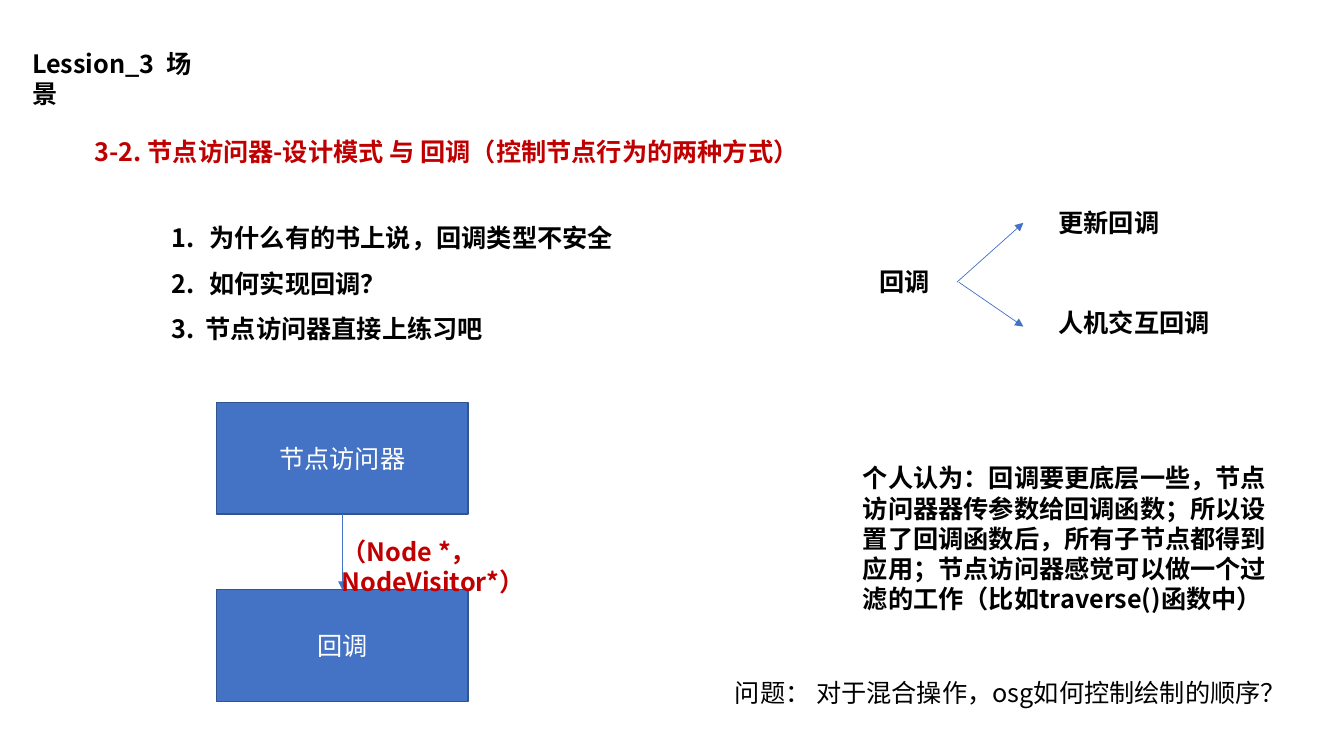
import dataclasses
import typing

import pptx
import pptx.dml.color
import pptx.enum.shapes
import pptx.enum.text
import pptx.oxml.ns
import pptx.slide
import pptx.util
from lxml import etree

Inches = pptx.util.Inches
FONT = "Noto Sans CJK SC"
COLORS = {
    "black": "000000",
    "red": "C00000",
    "white": "FFFFFF",
    "blue": "4472C4",
    "outline": "325491",
}
FRAME_FORMAT = {
    "word_wrap": True,
    "auto_size": pptx.enum.text.MSO_AUTO_SIZE.SHAPE_TO_FIT_TEXT,
}
BOX_LEFT, BOX_WIDTH, BOX_HEIGHT = 2.15, 2.49, 1.11
VISITOR_TOP, CALLBACK_TOP = 3.99, 5.85
BOX_CENTER = BOX_LEFT + BOX_WIDTH / 2


@dataclasses.dataclass
class Label:
    """A text box with one or more paragraphs."""
    left: float
    top: float
    width: float
    height: float
    lines: typing.Sequence[str]
    color: str = "black"
    bold: bool = True
    spacing: float = 1.0
    numbered: int = 0


@dataclasses.dataclass
class Box:
    """A filled rectangle of the call diagram."""
    top: float
    text: str


@dataclasses.dataclass
class Arrow:
    """A straight arrow between two points."""
    start: tuple[float, float]
    end: tuple[float, float]


LABELS = [
    Label(0.22, 0.43, 1.93, 0.4, ["Lession_3  场景"]),
    Label(0.84, 1.3, 7.32, 0.4,
          ["3-2. 节点访问器-设计模式 与 回调（控制节点行为的两种方式）"], "red"),
    Label(1.6, 2.01, 4.88, 1.42,
          ["为什么有的书上说，回调类型不安全", "如何实现回调？",
           "3.  节点访问器直接上练习吧"], spacing=1.5, numbered=2),
    Label(8.62, 2.59, 0.71, 0.4, ["回调"]),
    Label(10.4, 2.01, 1.21, 0.4, ["更新回调"]),
    Label(10.4, 3, 1.72, 0.4, ["人机交互回调"]),
    Label(3.29, 5.27, 3.32, 0.4, ["（Node *， NodeVisitor*）"], "red"),
    Label(8.46, 4.54, 4.21, 1.62,
          ["个人认为：回调要更底层一些，节点访问器器传参数给回调函数；"
           "所以设置了回调函数后，所有子节点都得到应用；"
           "节点访问器感觉可以做一个过滤的工作（比如traverse()函数中）"]),
    Label(7.19, 6.67, 5.71, 0.4,
          ["问题： 对于混合操作，osg如何控制绘制的顺序？"], bold=False),
]
BOXES = [Box(VISITOR_TOP, "节点访问器"), Box(CALLBACK_TOP, "回调")]
ARROWS = [
    Arrow((9.49, 2.8), (10.15, 2.21)),
    Arrow((9.51, 2.8), (10.15, 3.24)),
    Arrow((BOX_CENTER, VISITOR_TOP + BOX_HEIGHT), (BOX_CENTER, CALLBACK_TOP)),
]


def rgb(name: str) -> pptx.dml.color.RGBColor:
    """Return the named colour."""
    return pptx.dml.color.RGBColor.from_string(COLORS[name])


def apply_format(target: typing.Any, values: dict[str, typing.Any]) -> None:
    """Set each attribute given in the format values."""
    for name, value in values.items():
        setattr(target, name, value)


def add_child(parent: typing.Any, tag: str, **attributes: str) -> None:
    """Append a drawing element to its parent."""
    etree.SubElement(parent, pptx.oxml.ns.qn(tag), attributes)


def write_text(paragraph: typing.Any, text: str, color: str, bold: bool) -> None:
    """Write one formatted run into the paragraph."""
    run = paragraph.add_run()
    run.text = text
    apply_format(run.font, {"name": FONT, "size": pptx.util.Pt(18), "bold": bold})
    run.font.color.rgb = rgb(color)
    add_child(run.font._element, "a:ea", typeface=FONT)


def number_paragraph(paragraph: typing.Any) -> None:
    """Give the paragraph a hanging automatic number."""
    properties = paragraph._p.get_or_add_pPr()
    indent = Inches(0.38)
    properties.set("marL", str(indent))
    properties.set("indent", str(-indent))
    add_child(properties, "a:buFont", typeface="+mj-lt")
    add_child(properties, "a:buAutoNum", type="arabicPeriod")


def add_label(slide: pptx.slide.Slide, label: Label) -> None:
    """Draw a text box."""
    shape = slide.shapes.add_textbox(
        Inches(label.left), Inches(label.top), Inches(label.width), Inches(label.height))
    frame = shape.text_frame
    apply_format(frame, FRAME_FORMAT)
    for index, line in enumerate(label.lines):
        paragraph = frame.add_paragraph() if index else frame.paragraphs[0]
        paragraph.line_spacing = label.spacing
        if index < label.numbered:
            number_paragraph(paragraph)
        write_text(paragraph, line, label.color, label.bold)


def add_box(slide: pptx.slide.Slide, box: Box) -> None:
    """Draw a diagram rectangle with centred text."""
    shape = slide.shapes.add_shape(
        pptx.enum.shapes.MSO_SHAPE.RECTANGLE, Inches(BOX_LEFT), Inches(box.top),
        Inches(BOX_WIDTH), Inches(BOX_HEIGHT))
    shape.shadow.inherit = False
    shape.fill.solid()
    shape.fill.fore_color.rgb = rgb("blue")
    shape.line.color.rgb = rgb("outline")
    shape.line.width = pptx.util.Pt(1)
    shape.text_frame.vertical_anchor = pptx.enum.text.MSO_ANCHOR.MIDDLE
    paragraph = shape.text_frame.paragraphs[0]
    paragraph.alignment = pptx.enum.text.PP_ALIGN.CENTER
    write_text(paragraph, box.text, "white", False)


def add_arrow(slide: pptx.slide.Slide, arrow: Arrow) -> None:
    """Draw a thin line with a triangle at its end."""
    points = [Inches(value) for value in (*arrow.start, *arrow.end)]
    connector = slide.shapes.add_connector(
        pptx.enum.shapes.MSO_CONNECTOR.STRAIGHT, *points)
    connector.line.color.rgb = rgb("blue")
    connector.line.width = pptx.util.Pt(0.5)
    add_child(connector.line._get_or_add_ln(), "a:tailEnd", type="triangle")
    add_child(connector._element.spPr, "a:effectLst")


def main() -> None:
    """Build the slide and save it."""
    presentation = pptx.Presentation()
    apply_format(presentation, {"slide_width": Inches(13.33), "slide_height": Inches(7.5)})
    slide = presentation.slides.add_slide(presentation.slide_layouts[6])
    for box in BOXES:
        add_box(slide, box)
    for arrow in ARROWS:
        add_arrow(slide, arrow)
    for label in LABELS:
        add_label(slide, label)
    presentation.save("out.pptx")


main()
